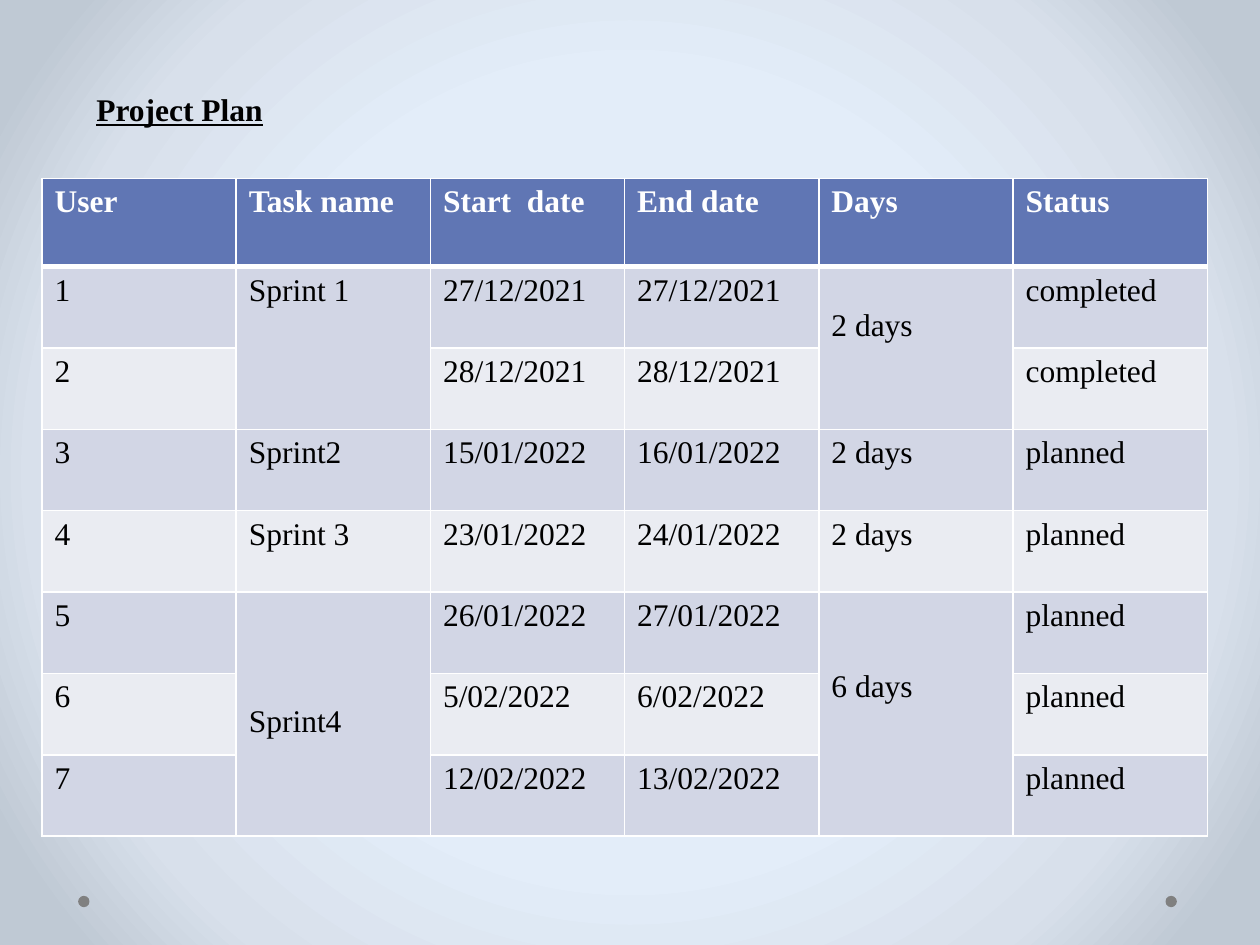
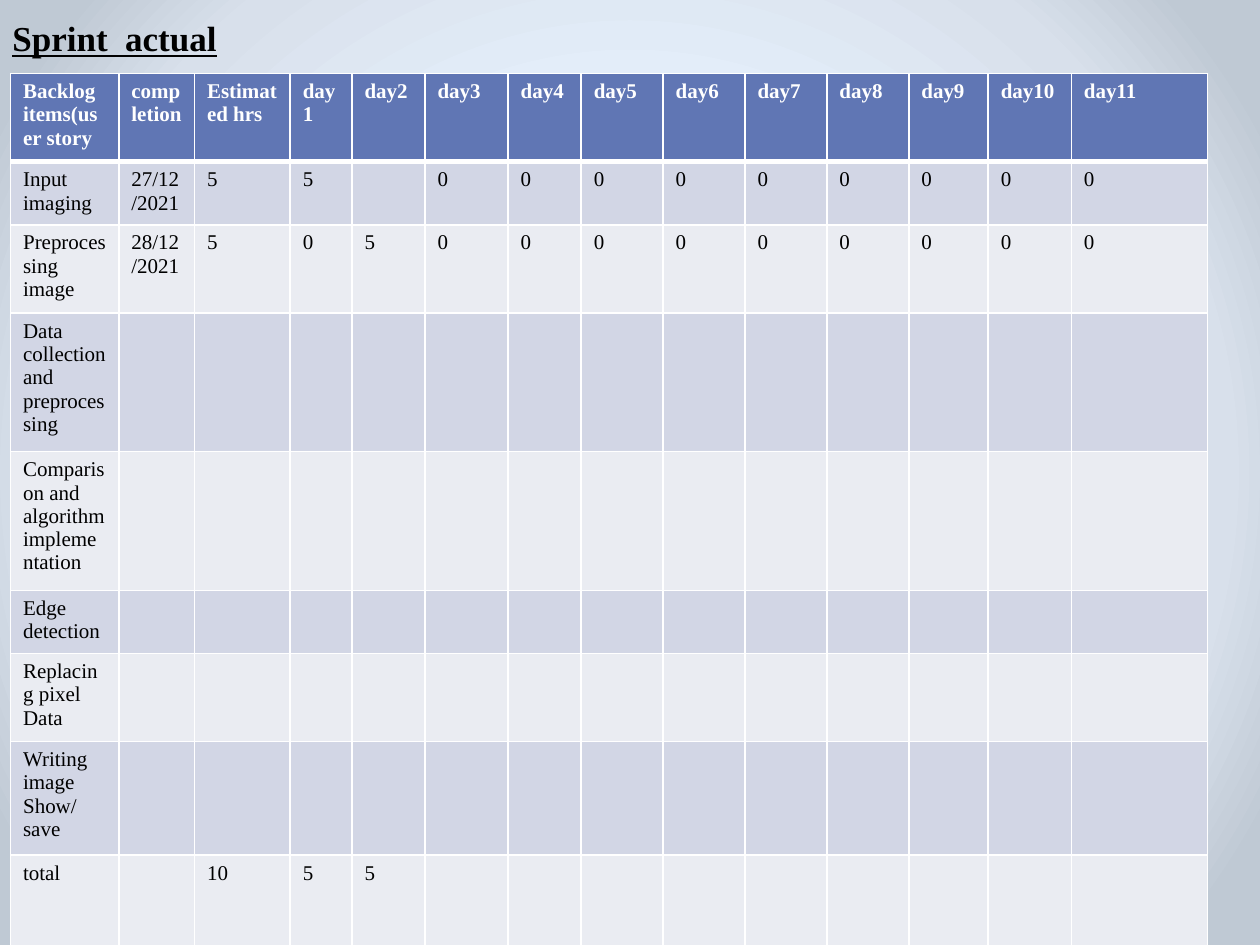
from pptx import Presentation
from pptx.dml.color import RGBColor
from pptx.enum.shapes import MSO_SHAPE
from pptx.oxml import parse_xml
from pptx.oxml.ns import nsdecls, qn
from pptx.util import Inches, Pt
from lxml.etree import SubElement

COLORS = {
    "text": "000000",
    "white": "FFFFFF",
    "header": "6076B4",
    "band_dark": "D2D6E5",
    "band_light": "EAECF2",
    "dot": "808080",
}
BACKDROP = {50: "E3EDF9", 76: "D8E0EB", 92: "BFC9D4"}
FONT = "Times New Roman"
TITLE = {"name": FONT, "bold": True, "underline": True}
HEADER = {"name": FONT, "bold": True}
BODY = {"name": FONT, "bold": False}
LINE_HEIGHT = 0.28
CELL_INSET = 0.05

PLAN_ROWS = [
    ["User", "Task name", "Start  date", "End date", "Days", "Status"],
    ["1", "Sprint 1", "27/12/2021", "27/12/2021", "2 days", "completed"],
    ["2", "", "28/12/2021", "28/12/2021", "", "completed"],
    ["3", "Sprint2", "15/01/2022", "16/01/2022", "2 days", "planned"],
    ["4", "Sprint 3", "23/01/2022", "24/01/2022", "2 days", "planned"],
    ["5", "Sprint4", "26/01/2022", "27/01/2022", "6 days", "planned"],
    ["6", "", "5/02/2022", "6/02/2022", "", "planned"],
    ["7", "", "12/02/2022", "13/02/2022", "", "planned"],
]
PLAN_WIDTHS = [9.25 / 6] * 6
PLAN_HEIGHTS = [0.7] + [4.52 / 7] * 7
# first row, last row, column, lines the text is lowered by
PLAN_MERGES = [(1, 2, 1, 0), (1, 2, 4, 1), (5, 7, 1, 3), (5, 7, 4, 2)]

DAYS = 11
SPRINT_ROWS = [
    ["Backlog items(user story", "completion", "Estimated hrs"]
    + [f"day{day}" for day in range(1, DAYS + 1)],
    ["Input imaging", "27/12/2021", "5", "5", ""] + ["0"] * (DAYS - 2),
    ["Preprocessing image", "28/12/2021", "5", "0", "5"] + ["0"] * (DAYS - 2),
    ["Data collection and preprocessing"],
    ["Comparison and algorithm implementation"],
    ["Edge detection"],
    ["Replacing pixel Data"],
    ["Writing image\nShow/save"],
    ["total", "", "10", "5", "5"],
]
SPRINT_WIDTHS = [0.86, 0.6, 0.76, 0.49, 0.58, 0.66, 0.58,
                 0.65, 0.65, 0.65, 0.65, 0.63, 0.66, 1.08]
SPRINT_HEIGHTS = [0.7, 0.5, 0.7, 1.1, 1.1, 0.5, 0.7, 0.9, 0.79]


def rgb(name):
    return RGBColor.from_string(COLORS[name])


def set_font(font, fmt, size, color):
    for name, value in fmt.items():
        setattr(font, name, value)
    font.size = Pt(size)
    font.color.rgb = rgb(color)


def set_backdrop(master):
    """Give the master, and so every slide, a round gradient."""
    stops = "".join(
        f'<a:gs pos="{pos * 1000}"><a:srgbClr val="{color}"/></a:gs>'
        for pos, color in BACKDROP.items())
    bg = parse_xml(
        f'<p:bg {nsdecls("p", "a")}><p:bgPr><a:gradFill rotWithShape="1">'
        f'<a:gsLst>{stops}</a:gsLst><a:path path="circle">'
        '<a:fillToRect l="50000" t="50000" r="50000" b="50000"/></a:path>'
        '</a:gradFill><a:effectLst/></p:bgPr></p:bg>')
    c_sld = master.element.cSld
    c_sld.replace(c_sld.find(qn("p:bg")), bg)


def add_footer_dots(slide):
    for left in (9.25, 0.62):
        sp = slide.shapes.add_shape(MSO_SHAPE.OVAL, Inches(left), Inches(7.11),
                                    Inches(0.09), Inches(0.09))
        sp.shadow.inherit = False
        sp.fill.solid()
        sp.fill.fore_color.rgb = rgb("dot")
        sp.line.fill.background()


def add_slide(prs):
    slide = prs.slides.add_slide(prs.slide_layouts[6])
    add_footer_dots(slide)
    return slide


def add_title(slide, text, size, box):
    tf = slide.shapes.add_textbox(*map(Inches, box)).text_frame
    tf.word_wrap = True
    r = tf.paragraphs[0].add_run()
    r.text = text
    set_font(r.font, TITLE, size, "text")


def set_borders(cell, top, bottom):
    """Draw white borders; top and bottom are widths in points."""
    tc_pr = cell._tc.get_or_add_tcPr()
    for side, width in {"L": 1, "R": 1, "T": top, "B": bottom}.items():
        ln = SubElement(tc_pr, qn(f"a:ln{side}"), w=str(Pt(width)))
        fill = SubElement(ln, qn("a:solidFill"))
        SubElement(fill, qn("a:srgbClr"), val=COLORS["white"])


def format_cell(cell, row, size):
    set_borders(cell, 3 if row == 1 else 1, 3 if row == 0 else 1)
    if row == 0:
        fill, fmt, color = "header", HEADER, "white"
    else:
        fill, fmt, color = ("band_dark" if row % 2 else "band_light"), BODY, "text"
    cell.fill.solid()
    cell.fill.fore_color.rgb = rgb(fill)
    for p in cell.text_frame.paragraphs:
        for r in p.runs:
            set_font(r.font, fmt, size, color)


def add_table(slide, rows, left, top, widths, heights, size):
    """Add a banded table; cells missing at the end of a row stay empty."""
    frame = slide.shapes.add_table(
        len(heights), len(widths), Inches(left), Inches(top),
        Inches(sum(widths)), Inches(sum(heights)))
    table = frame.table
    for column, width in zip(table.columns, widths):
        column.width = Inches(width)
    for i, height in enumerate(heights):
        table.rows[i].height = Inches(height)
        for j in range(len(widths)):
            cell = table.cell(i, j)
            if j < len(rows[i]) and rows[i][j]:
                cell.text = rows[i][j]
            format_cell(cell, i, size)
    return table


def merge_rows(table, first, last, column, lowered):
    cell = table.cell(first, column)
    cell.merge(table.cell(last, column))
    cell.margin_top = Inches(CELL_INSET + lowered * LINE_HEIGHT)


def add_project_plan(prs):
    slide = add_slide(prs)
    add_title(slide, "Project Plan", 18, (2 / 3, 2 / 3, 3.83, 0.4))
    table = add_table(slide, PLAN_ROWS, 1 / 3, 17 / 12,
                      PLAN_WIDTHS, PLAN_HEIGHTS, 18)
    for merge in PLAN_MERGES:
        merge_rows(table, *merge)


def add_sprint_actual(prs):
    slide = add_slide(prs)
    add_table(slide, SPRINT_ROWS, 1 / 12, 7 / 12,
              SPRINT_WIDTHS, SPRINT_HEIGHTS, 12)
    add_title(slide, "Sprint  actual", 20, (0, 1 / 12, 3.17, 0.74))


def main():
    prs = Presentation()
    prs.slide_width, prs.slide_height = Inches(10), Inches(7.5)
    set_backdrop(prs.slide_master)
    add_project_plan(prs)
    add_sprint_actual(prs)
    prs.save("out.pptx")


if __name__ == "__main__":
    main()
